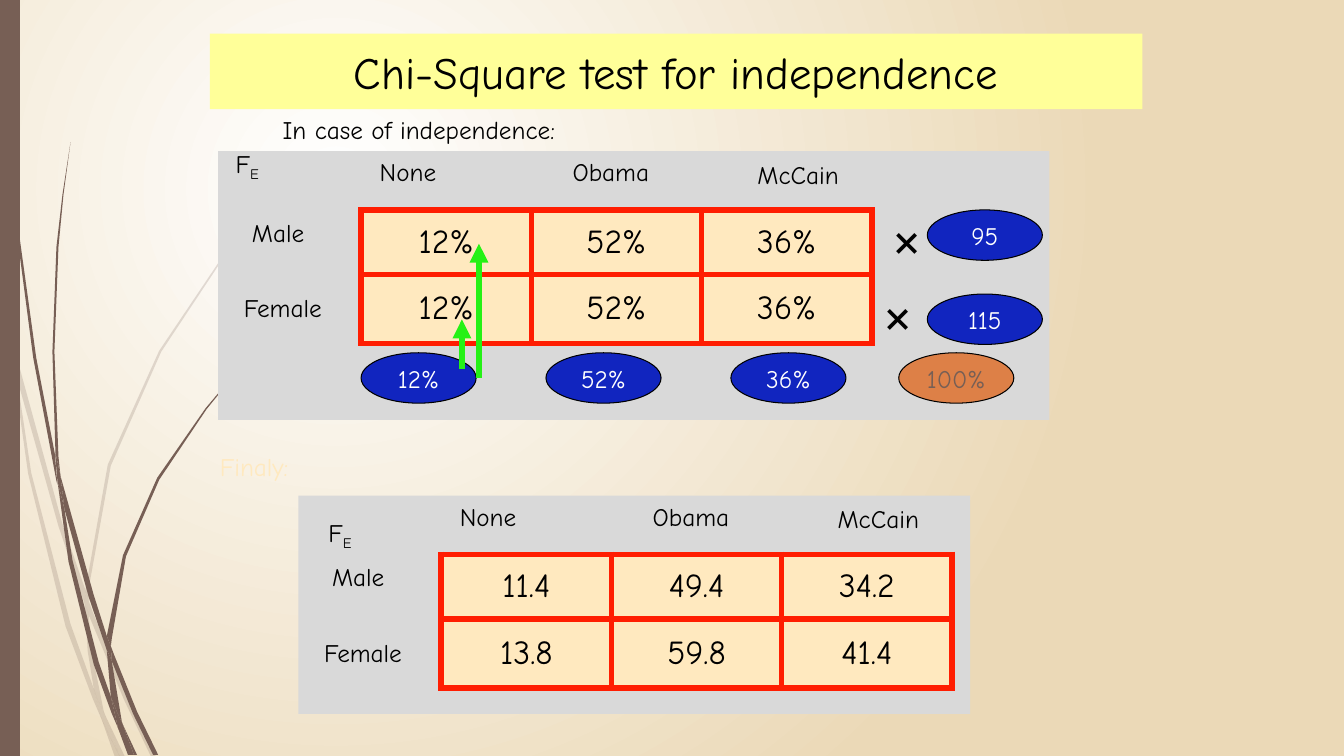
import pptx
import pptx.dml.color
import pptx.enum.shapes
import pptx.enum.text
import pptx.oxml
import pptx.oxml.ns
import pptx.util
from pptx.util import Cm

FONT = "Comic Neue"
BLACK, WHITE, BROWN = "000000", "FFFFFF", "775F55"
GREY, CREAM, RED, BLUE, GREEN, ORANGE = "D9D9D9", "FFE9BF", "FF1D01", "1125BF", "25F116", "DD8047"
SHAPE = pptx.enum.shapes.MSO_SHAPE
CENTER = pptx.enum.text.PP_ALIGN.CENTER
MIDDLE = pptx.enum.text.MSO_ANCHOR.MIDDLE

# Outlines of the grass blades: x, y pairs in hundredths of an inch
PALE_BLADES = [
    "11,350 9,322 0,282 0,299 10,344",
    "58,522 84,599 85,586 62,520 14,345 17,376",
    "92,607 88,596 88,610 123,694 150,751 155,751 127,692",
    "119,751 124,751 105,711",
    "93,683 70,619 31,469 17,376 11,350 28,470 65,621 92,693 101,714 99,707",
    "84,599 87,646 93,683 96,692 105,711 103,706 91,646 88,610 88,608",
    "88,584 110,462 160,349 229,245 268,198 290,175 312,154 312,153 289,175 268,197 "
    "228,244 158,348 107,461 85,584 85,586 88,596",
    "101,714 114,751 119,751",
    "88,608 88,610 88,596 85,586 84,599",
    "96,692 93,683 99,707 101,714 119,751 105,711",
]
DARK_BLADES = [
    "7,110 17,233 33,355 56,477 57,481 55,457 55,453 36,355 19,232 8,109 5,48 4,0 3,0 4,48",
    "88,592 106,645 106,633 106,631 93,590 60,472 64,505",
    "113,649 110,641 111,656 132,708 152,749 157,749 136,706",
    "110,691 98,657 72,556 64,505 57,477 68,557 93,659 111,708 117,722 116,717",
    "60,472 58,453 54,349 58,245 63,193 70,141 62,193 56,245 52,349 55,449",
    "133,749 136,749 122,719",
    "57,477 64,505 60,472 55,449 55,453",
    "111,633 125,552 158,476 205,406 231,374 245,359 261,344 260,344 245,358 231,373 "
    "204,405 156,474 122,551 106,631 110,641",
    "117,722 127,749 131,749",
    "106,645 110,691 116,706 122,719 121,716 111,656 109,651",
    "106,645 109,651 111,656 110,641 106,631 106,633",
    "116,706 110,691 116,717 117,722 130,749 133,749 122,719",
]

# All other lengths are in centimetres
PANELS = [
    {"area": (5.5, 3.81, 20.95, 6.77), "table": (9.1, 5.29), "corner": (5.28, 3.61),
     "rows": [["12%", "52%", "36%"], ["12%", "52%", "36%"]]},
    {"area": (7.52, 12.49, 16.93, 5.5), "table": (11.12, 13.97), "corner": (7.62, 12.9),
     "rows": [["11.4", "49.4", "34.2"], ["13.8", "59.8", "41.4"]]},
]
COLUMN_WIDTH, ROW_HEIGHTS = 4.29, (1.63, 1.73)
LINE_HEIGHT = 1.02
# Text, then offset from the table corner, then width
HEADINGS = [
    ("Male", -3.0, 0.05, 3.83), ("Female", -3.2, 1.96, 3.83),
    ("None", 0.22, -1.47, 2.69), ("Obama", 5.08, -1.47, 5.56), ("McCain", 9.74, -1.4, 5.38),
]
OVAL_SIZE = (2.9, 1.27)
SHARES, SHARES_LEFT, SHARES_TOP, SHARES_STEP = ("12%", "52%", "36%"), 9.1, 8.89, 4.66
ROW_TOTALS = [("95", 23.37, 5.29), ("115", 23.37, 7.41)]
TIMES_SIGNS = [(21.38, 5.08), (21.17, 6.99)]
ARROWS = [(11.64, 9.31, 8.05), (12.07, 9.53, 6.14)]  # x, from y, to y


def rgb(value):
    return pptx.dml.color.RGBColor.from_string(value)


def xml(tag, inner="", attributes=""):
    """Make one element of the a: or p: namespace."""
    names = pptx.oxml.ns.nsdecls("a", "p")
    return pptx.oxml.parse_xml(f"<{tag} {names} {attributes}>{inner}</{tag}>")


def solid(color):
    return f'<a:solidFill><a:srgbClr val="{color}"/></a:solidFill>'


def paint(shape, fill, line=None):
    shape.shadow.inherit = False
    shape.fill.solid()
    shape.fill.fore_color.rgb = rgb(fill)
    if line:
        shape.line.color.rgb = rgb(line)
        shape.line.width = pptx.util.Pt(0.75)
    else:
        shape.line.fill.background()


def write(frame, text, size=18, color=BLACK, align=None, font=FONT):
    frame.text = text
    para = frame.paragraphs[0]
    para.alignment = align
    for span in para.runs:
        span.font.size = pptx.util.Pt(size)
        span.font.name = font
        span.font.color.rgb = rgb(color)
    return para


def add_box(page, kind, left, top, width, height, fill, line=None):
    box = page.shapes.add_shape(kind, Cm(left), Cm(top), Cm(width), Cm(height))
    paint(box, fill, line)
    return box


def add_label(page, text, left, top, width, height=LINE_HEIGHT, **style):
    box = page.shapes.add_textbox(Cm(left), Cm(top), Cm(width), Cm(height))
    box.text_frame.word_wrap = True
    return write(box.text_frame, text, **style)


def add_oval(page, text, left, top, fill=BLUE, color=WHITE):
    oval = add_box(page, SHAPE.OVAL, left, top, *OVAL_SIZE, fill, BLACK)
    oval.text_frame.word_wrap = False
    oval.text_frame.vertical_anchor = MIDDLE
    write(oval.text_frame, text, color=color, align=CENTER)


def add_blade(page, outline, alpha=None):
    points = [tuple(map(int, pair.split(","))) for pair in outline.split()]
    builder = page.shapes.build_freeform(*points[0], scale=Cm(0.0254))
    builder.add_line_segments(points[1:], close=True)
    blade = builder.convert_to_shape()
    paint(blade, BROWN)
    if alpha:
        for color in blade.element.spPr.iter(pptx.oxml.ns.qn("a:srgbClr")):
            color.append(xml("a:alpha", attributes=f'val="{alpha * 1000}"'))


def add_frequencies(page, rows, left, top):
    width = COLUMN_WIDTH * len(rows[0])
    table = page.shapes.add_table(len(rows), len(rows[0]), Cm(left), Cm(top),
                                  Cm(width), Cm(sum(ROW_HEIGHTS))).table
    table.first_row = table.horz_banding = False
    for column in table.columns:
        column.width = Cm(COLUMN_WIDTH)
    for row, height, values in zip(table.rows, ROW_HEIGHTS, rows):
        row.height = Cm(height)
        for cell, value in zip(row.cells, values):
            write(cell.text_frame, value, size=24, align=CENTER)
            cell.vertical_anchor = MIDDLE
            cell.fill.solid()
            cell.fill.fore_color.rgb = rgb(CREAM)
            borders = cell._tc.get_or_add_tcPr()
            for place, side in enumerate("LRTB"):
                borders.insert(place, xml(f"a:ln{side}", solid(RED), f'w="{pptx.util.Pt(4.5)}"'))


def add_panel(page, panel):
    add_box(page, SHAPE.RECTANGLE, *panel["area"], GREY)
    left, top = panel["table"]
    add_frequencies(page, panel["rows"], left, top)
    for text, right, down, width in HEADINGS:
        add_label(page, text, left + right, top + down, width)
    corner = add_label(page, "F", *panel["corner"], 1.9, align=CENTER)
    index = corner.add_run()
    index.text = "E"
    index.font.size, index.font.name = pptx.util.Pt(18), FONT
    index.font.color.rgb = rgb(BLACK)
    index.font._element.set("baseline", "-25000")


def add_arrow(page, x, start, end):
    kind = pptx.enum.shapes.MSO_CONNECTOR.STRAIGHT
    arrow = page.shapes.add_connector(kind, Cm(x), Cm(start), Cm(x), Cm(end))
    arrow.line.color.rgb = rgb(GREEN)
    arrow.line.width = pptx.util.Pt(4.5)
    arrow.line._get_or_add_ln().append(xml("a:tailEnd", attributes='type="triangle"'))
    arrow.element.spPr.append(xml("a:effectLst"))


def add_background(page):
    stops = "".join(f'<a:gs pos="{place}"><a:srgbClr val="{color}"/></a:gs>'
                    for place, color in ((0, WHITE), (100000, "EBD9B7")))
    focus = '<a:fillToRect l="50000" t="50000" r="100000" b="100000"/>'
    gradient = (f'<a:gradFill rotWithShape="1"><a:gsLst>{stops}</a:gsLst>'
                f'<a:path path="circle">{focus}</a:path></a:gradFill>')
    page.element.cSld.insert(0, xml("p:bg", f"<p:bgPr>{gradient}<a:effectLst/></p:bgPr>"))


def main():
    deck = pptx.Presentation()
    deck.slide_width, deck.slide_height = Cm(33.87), Cm(19.05)
    page = deck.slides.add_slide(deck.slide_layouts[6])
    add_background(page)
    for outline in PALE_BLADES:
        add_blade(page, outline, alpha=20)
    for outline in DARK_BLADES:
        add_blade(page, outline)
    add_box(page, SHAPE.RECTANGLE, 0, 0, 0.5, 19.05, BROWN)

    title = add_box(page, SHAPE.RECTANGLE, 5.29, 0.85, 23.5, 1.9, "FFFF99")
    title.text_frame.vertical_anchor = MIDDLE
    write(title.text_frame, "Chi-Square test for independence", size=32, align=CENTER)
    add_label(page, "In case of independence: ", 5.16, 2.75, 11, align=CENTER)
    add_label(page, "Finaly:", 5.29, 11.25, 4, color=CREAM)
    for panel in PANELS:
        add_panel(page, panel)

    for place, share in enumerate(SHARES):
        add_oval(page, share, SHARES_LEFT + place * SHARES_STEP, SHARES_TOP)
    add_oval(page, "100%", 22.65, SHARES_TOP, ORANGE, BROWN)
    for total in ROW_TOTALS:
        add_oval(page, *total)
    for left, top in TIMES_SIGNS:
        add_label(page, "×", left, top, 2.96, 1.96, size=40, align=CENTER, font="League Spartan")
    for arrow in ARROWS:
        add_arrow(page, *arrow)
    deck.save("out.pptx")


if __name__ == "__main__":
    main()
